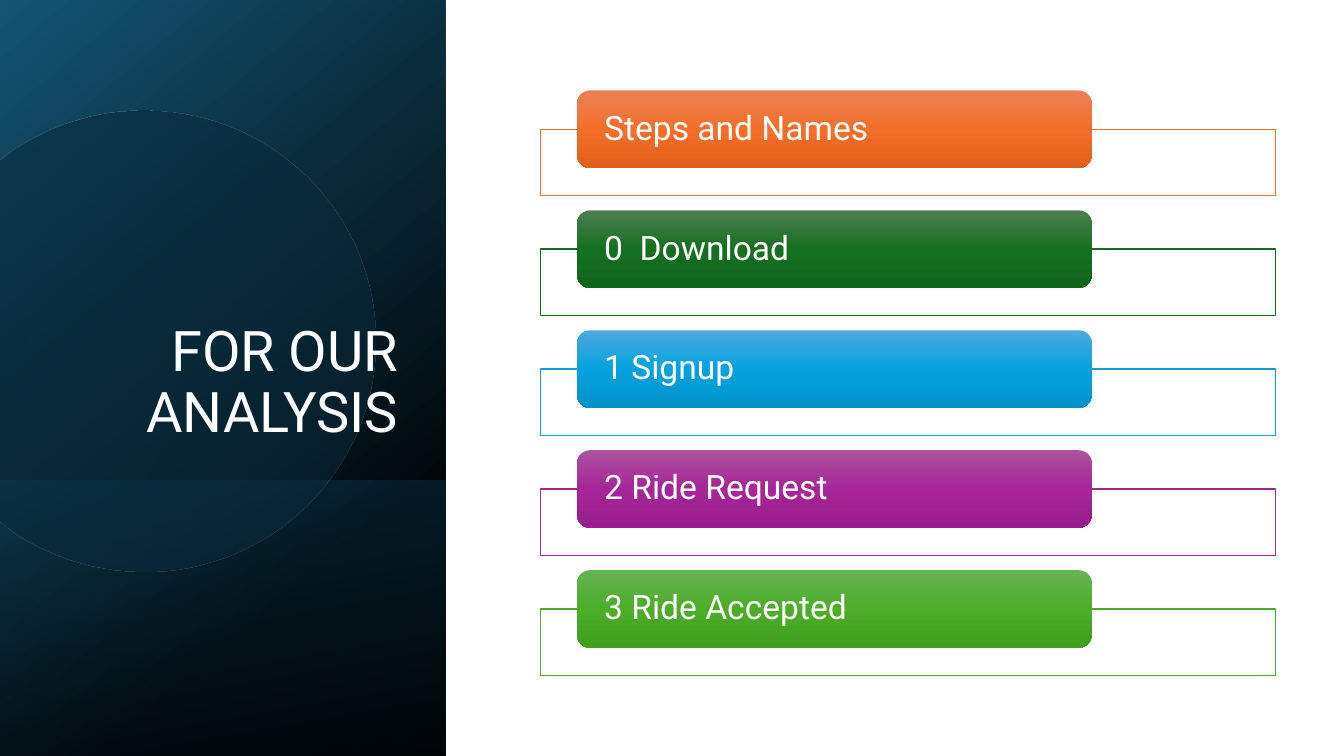
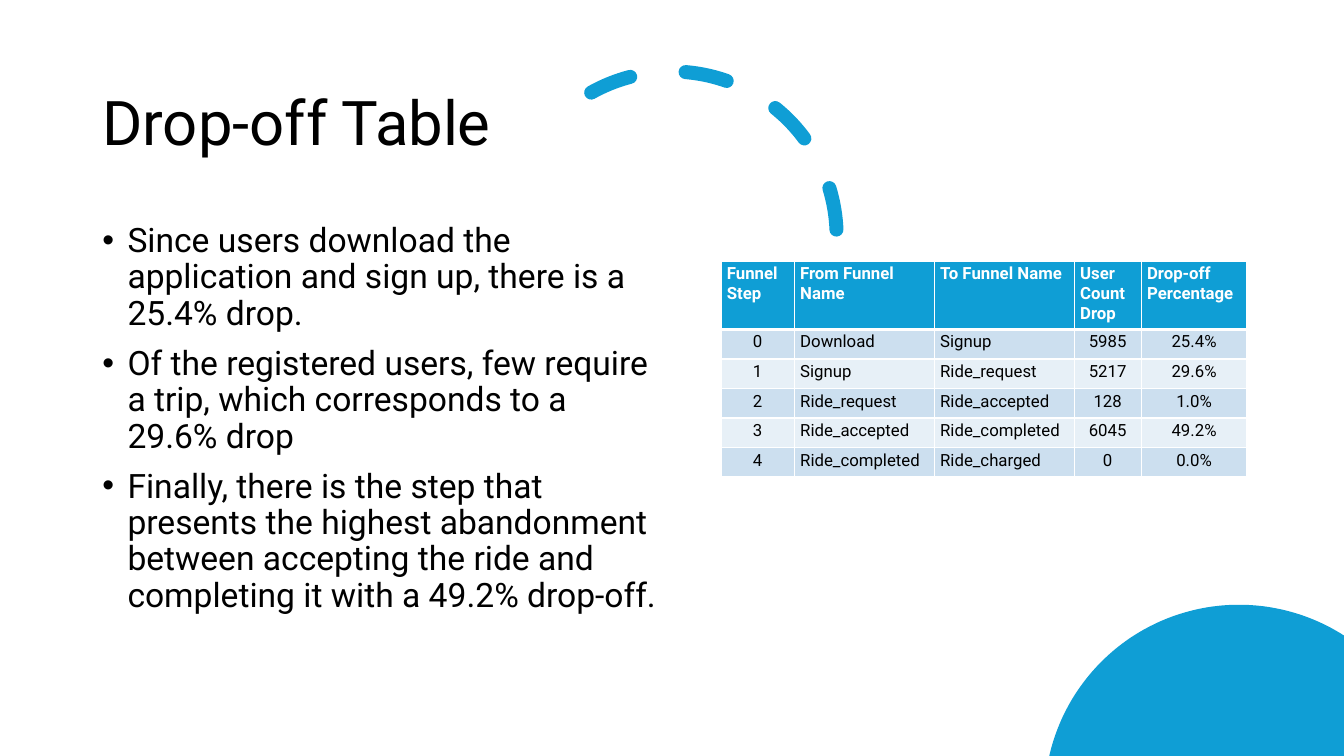
import math

from lxml import etree
from pptx import Presentation
from pptx.dml.color import RGBColor
from pptx.enum.dml import MSO_LINE
from pptx.enum.shapes import MSO_SHAPE
from pptx.enum.text import MSO_ANCHOR, PP_ALIGN
from pptx.oxml.ns import qn
from pptx.util import Pt

RECT, ROUND_RECT, ARC = MSO_SHAPE.RECTANGLE, MSO_SHAPE.ROUNDED_RECTANGLE, MSO_SHAPE.ARC
TOP, MIDDLE, BOTTOM = MSO_ANCHOR.TOP, MSO_ANCHOR.MIDDLE, MSO_ANCHOR.BOTTOM
LEFT, CENTER, RIGHT = PP_ALIGN.LEFT, PP_ALIGN.CENTER, PP_ALIGN.RIGHT

FONT = "Roboto"
SLIDE_W, SLIDE_H = 960, 540
C = {
    "white": "FFFFFF", "black": "000000", "blue": "0F9ED5", "teal": "156082",
    "panel_light": "135575", "panel_mid": "0A2C3B", "panel_dark": "01080C",
    "disc": "0A2C3E", "row_odd": "CCDFEF", "row_even": "E7F0F7",
}
# Step text, frame colour, button gradient from top to bottom
STEPS = [
    ("Steps and Names", "E97132", ("ED8257", "F26E29", "E25F1A")),
    ("0  Download", "196B24", ("4D7E50", "156F21", "0F661B")),
    ("1 Signup", "0F9ED5", ("4CAADF", "05A2DF", "0092CB")),
    ("2 Ride Request", "A02B93", ("AC53A0", "A62598", "991C8B")),
    ("3 Ride Accepted", "4EA72E", ("66B354", "4BAD28", "409F1E")),
]
FINDINGS = [
    "Since users download the application and sign up, there is a 25.4% drop.",
    "Of the registered users, few require a trip, which corresponds to a 29.6% drop",
    "Finally, there is the step that presents the highest abandonment between "
    "accepting the ride and completing it with a 49.2% drop-off.",
]
FUNNEL = [
    ("Funnel Step", "From Funnel Name", "To Funnel Name", "User Count Drop",
     "Drop-off Percentage"),
    ("0", "Download", "Signup", "5985", "25.4%"),
    ("1", "Signup", "Ride_request", "5217", "29.6%"),
    ("2", "Ride_request", "Ride_accepted", "128", "1.0%"),
    ("3", "Ride_accepted", "Ride_completed", "6045", "49.2%"),
    ("4", "Ride_completed", "Ride_charged", "0", "0.0%"),
]
FUNNEL_WIDTHS = (52.4, 100, 100, 47.8, 75.6)
FUNNEL_ALIGN = (CENTER, LEFT, LEFT, CENTER, CENTER)


# Shared helpers
def rgb(value):
    return RGBColor.from_string(value)


def add_shape(slide, kind, box, fill=None, line=None, width=1):
    shape = slide.shapes.add_shape(kind, *map(Pt, box))
    finish(shape, fill, line, width)
    return shape


def finish(shape, fill=None, line=None, width=1):
    shape.shadow.inherit = False
    if fill:
        shape.fill.solid()
        shape.fill.fore_color.rgb = rgb(fill)
    else:
        shape.fill.background()
    if line:
        shape.line.color.rgb = rgb(line)
        shape.line.width = Pt(width)
    else:
        shape.line.fill.background()


def set_gradient(shape, stops, angle):
    """Stops are (percent, colour, opacity percent); the angle runs clockwise."""
    gradient = etree.Element(qn("a:gradFill"), rotWithShape="1")
    stop_list = etree.SubElement(gradient, qn("a:gsLst"))
    for position, colour, opacity in stops:
        stop = etree.SubElement(stop_list, qn("a:gs"), pos=str(position * 1000))
        tint = etree.SubElement(stop, qn("a:srgbClr"), val=colour)
        if opacity < 100:
            etree.SubElement(tint, qn("a:alpha"), val=str(opacity * 1000))
    etree.SubElement(gradient, qn("a:lin"), ang=str(angle * 60000), scaled="0")
    shape.fill.background()
    properties = shape.element.spPr
    properties.replace(properties.find(qn("a:noFill")), gradient)


def add_disc_part(slide, center, radius, start, end, corners=(), fill=None):
    """Arc from start to end degrees, closed through the given corners."""
    cx, cy = center
    angles = [math.radians(start + (end - start) * i / 90) for i in range(91)]
    points = [(cx + radius * math.cos(a), cy + radius * math.sin(a)) for a in angles]
    points = [(Pt(x), Pt(y)) for x, y in points + list(corners)]
    builder = slide.shapes.build_freeform(*points[0])
    builder.add_line_segments(points[1:], close=True)
    disc = builder.convert_to_shape()
    finish(disc, fill)
    return disc


def set_frame(frame, anchor, insets=(7.2, 3.6)):
    frame.word_wrap = True
    frame.vertical_anchor = anchor
    frame.margin_left = frame.margin_right = Pt(insets[0])
    frame.margin_top = frame.margin_bottom = Pt(insets[1])


def write(paragraph, text, size, colour, align=LEFT, bold=False, spacing=0.9):
    paragraph.alignment = align
    paragraph.line_spacing = spacing
    run = paragraph.add_run()
    run.text = text
    run.font.name, run.font.size, run.font.bold = FONT, Pt(size), bold
    run.font.color.rgb = rgb(colour)


def add_title(slide, box, text, size, colour, anchor, align=LEFT):
    frame = slide.shapes.add_textbox(*map(Pt, box)).text_frame
    set_frame(frame, anchor)
    write(frame.paragraphs[0], text, size, colour, align)


# Analysis steps slide
def add_title_panel(slide, box):
    x, y, w, h = box
    panel = add_shape(slide, RECT, box)
    set_gradient(panel, [(0, C["panel_light"], 100), (38, C["panel_mid"], 100),
                         (75, C["panel_dark"], 100), (100, C["panel_dark"], 100)], 50)
    # Lighter band at the foot
    band_top = 343
    band = add_shape(slide, RECT, (x, y + band_top, w, h - band_top))
    set_gradient(band, [(0, C["teal"], 29), (100, C["black"], 30)], 80)
    # Large disc cut by the left edge
    offset, radius = 103, 165
    reach = math.degrees(math.acos(-offset / radius))
    disc = add_disc_part(slide, (x + offset, y + 243.6), radius, -reach, reach)
    set_gradient(disc, [(0, C["disc"], 60), (100, C["disc"], 50)], 30)
    add_title(slide, (x + 46, y + 132.5, 245.5, 188.6), "FOR OUR ANALYSIS",
              40, C["white"], BOTTOM, RIGHT)


def add_steps(slide, box):
    x, y, w, h = box
    button_h, frame_drop, frame_h = 55.4, 27.7, 47.6
    pitch = (h - frame_drop - frame_h) / (len(STEPS) - 1)
    for i, (text, frame_colour, shades) in enumerate(STEPS):
        top = y + i * pitch
        add_shape(slide, RECT, (x, top + frame_drop, w, frame_h), C["white"], frame_colour)
        button = add_shape(slide, ROUND_RECT, (x + w * 0.05, top, w * 0.7, button_h))
        set_gradient(button, [(p, s, 100) for p, s in zip((0, 50, 100), shades)], 90)
        set_frame(button.text_frame, MIDDLE, (16.6, 0))
        write(button.text_frame.paragraphs[0], text, 24, C["white"])


def build_steps_slide(slide):
    add_title_panel(slide, (0, 0, 318, SLIDE_H))
    add_steps(slide, (386, 64.6, 525, 418))


# Drop-off slide
def add_decoration(slide):
    # Disc rising from the bottom right corner
    cx, cy, radius = 885, 571, 139
    start = 180 + math.degrees(math.asin((cy - SLIDE_H) / radius))
    end = 360 - math.degrees(math.acos((SLIDE_W - cx) / radius))
    add_disc_part(slide, (cx, cy), radius, start, end, [(SLIDE_W, SLIDE_H)], C["blue"])
    # Dashed arc
    arc = add_shape(slide, ARC, (362.2, 51.1, 235.4, 235.4), None, C["blue"], 10)
    arc.adjustments[0], arc.adjustments[1] = 144.42, 0
    arc.line.dash_style = MSO_LINE.DASH
    arc.element.spPr.find(qn("a:ln")).set("cap", "rnd")


def add_findings(slide, box):
    frame = slide.shapes.add_textbox(*map(Pt, box)).text_frame
    set_frame(frame, TOP)
    for i, finding in enumerate(FINDINGS):
        paragraph = frame.add_paragraph() if i else frame.paragraphs[0]
        properties = paragraph._p.get_or_add_pPr()
        properties.set("marL", str(Pt(18)))
        properties.set("indent", str(-Pt(18)))
        etree.SubElement(properties, qn("a:buFont"), typeface="Arial")
        etree.SubElement(properties, qn("a:buChar"), char="•")
        if i:
            paragraph.space_before = Pt(10)
        write(paragraph, finding, 24, C["black"])


def set_borders(cell, widths):
    """Widths are for left, right, top and bottom."""
    properties = cell._tc.get_or_add_tcPr()
    for i, (side, width) in enumerate(zip("LRTB", widths)):
        line = etree.Element(qn(f"a:ln{side}"), w=str(Pt(width)))
        fill = etree.SubElement(line, qn("a:solidFill"))
        etree.SubElement(fill, qn("a:srgbClr"), val=C["white"])
        properties.insert(i, line)


def add_funnel_table(slide, x, y):
    header_h, row_h = 48.6, 21.1
    height = header_h + row_h * (len(FUNNEL) - 1)
    table = slide.shapes.add_table(len(FUNNEL), len(FUNNEL_WIDTHS), Pt(x), Pt(y),
                                   Pt(sum(FUNNEL_WIDTHS)), Pt(height)).table
    for column, width in zip(table.columns, FUNNEL_WIDTHS):
        column.width = Pt(width)
    for r, values in enumerate(FUNNEL):
        header = r == 0
        table.rows[r].height = Pt(header_h if header else row_h)
        fill = C["blue"] if header else C["row_odd" if r % 2 else "row_even"]
        for c, value in enumerate(values):
            cell = table.cell(r, c)
            cell.fill.solid()
            cell.fill.fore_color.rgb = rgb(fill)
            cell.margin_left = cell.margin_right = Pt(4.2)
            cell.margin_top = cell.margin_bottom = Pt(2.1)
            cell.vertical_anchor = TOP
            set_borders(cell, (1, 1, 3 if r == 1 else 1, 3 if header else 1))
            write(cell.text_frame.paragraphs[0], value, 12,
                  C["white" if header else "black"],
                  LEFT if header else FUNNEL_ALIGN[c], header, 1.0)


def build_drop_off_slide(slide):
    add_decoration(slide)
    add_title(slide, (66, 37.4, 414, 104.4), "Drop-off Table", 44, C["black"], MIDDLE)
    add_findings(slide, (66, 156.2, 414, 329.8))
    add_funnel_table(slide, 515, 186.7)


def main():
    deck = Presentation()
    deck.slide_width, deck.slide_height = Pt(SLIDE_W), Pt(SLIDE_H)
    blank = deck.slide_layouts[6]
    for build in (build_steps_slide, build_drop_off_slide):
        build(deck.slides.add_slide(blank))
    deck.save("out.pptx")


if __name__ == "__main__":
    main()
